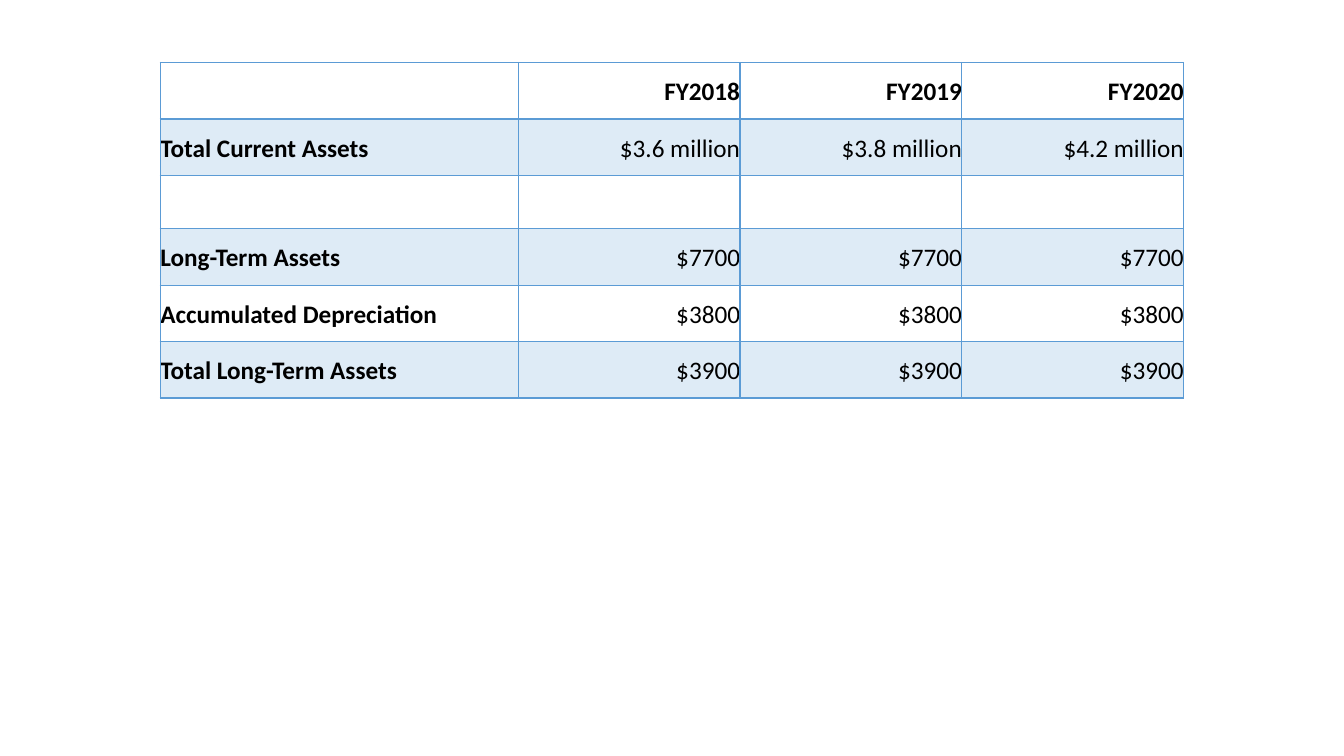
"""Build a slide with a table of current and long-term assets by fiscal year."""
from lxml import etree
from pptx import Presentation
from pptx import util as u
from pptx.dml.color import RGBColor
from pptx.enum import text
from pptx.oxml.ns import qn

BLUE = RGBColor(0x5B, 0x9B, 0xD5)
BLACK = RGBColor(0, 0, 0)
COLS = [3.55, 2.2, 2.2, 2.2]
ROWS = [0.56, 0.56, 0.53, 0.56, 0.56, 0.56]
ASSETS = [
    ["", "FY2018", "FY2019", "FY2020"],
    ["Total Current Assets", "$3.6 million", "$3.8 million", "$4.2 million"],
    [""] * 4,
    ["Long-Term Assets"] + ["$7700"] * 3,
    ["Accumulated Depreciation"] + ["$3800"] * 3,
    ["Total Long-Term Assets"] + ["$3900"] * 3,
]


def write(cell, value, bold=False, align=text.PP_ALIGN.RIGHT):
    cell.vertical_anchor = text.MSO_ANCHOR.MIDDLE
    cell.margin_left = cell.margin_right = 0
    cell.margin_top, cell.margin_bottom = u.Inches(0.02), u.Inches(0.04)
    p = cell.text_frame.paragraphs[0]
    p.alignment, p.line_spacing = align, 1.15
    r = p.add_run()
    r.text = value
    r.font.name, r.font.size, r.font.bold = "Calibri", u.Pt(18), bold
    r.font.color.rgb = BLACK


def add_border(cell, side, width):
    ln = etree.SubElement(cell._tc.get_or_add_tcPr(), qn("a:ln" + side), w=str(u.Pt(width)))
    fill = etree.SubElement(ln, qn("a:solidFill"))
    etree.SubElement(fill, qn("a:srgbClr"), val=str(BLUE))


prs = Presentation()
prs.slide_width, prs.slide_height = u.Inches(13.33), u.Inches(7.5)
s = prs.slides.add_slide(prs.slide_layouts[6])
table = s.shapes.add_table(len(ROWS), len(COLS), u.Inches(1.59), u.Inches(0.62),
                           u.Inches(sum(COLS)), u.Inches(sum(ROWS))).table
table.first_row = table.horz_banding = False
for col, width in zip(table.columns, COLS):
    col.width = u.Inches(width)
for row, height in zip(table.rows, ROWS):
    row.height = u.Inches(height)

for i, values in enumerate(ASSETS):
    for j, value in enumerate(values):
        cell = table.cell(i, j)
        if value:
            align = text.PP_ALIGN.RIGHT if j else text.PP_ALIGN.LEFT
            write(cell, value, bold=i == 0 or j == 0, align=align)
        for side in "LRTB":
            heavy = (i, side) in [(0, "B"), (1, "T")]
            add_border(cell, side, 2 if heavy else 1)
        if i % 2:
            cell.fill.solid()
            cell.fill.fore_color.rgb = BLUE
            color = cell._tc.tcPr.find(qn("a:solidFill")).find(qn("a:srgbClr"))
            etree.SubElement(color, qn("a:alpha"), val="20000")
        else:
            cell.fill.background()

prs.save("out.pptx")
